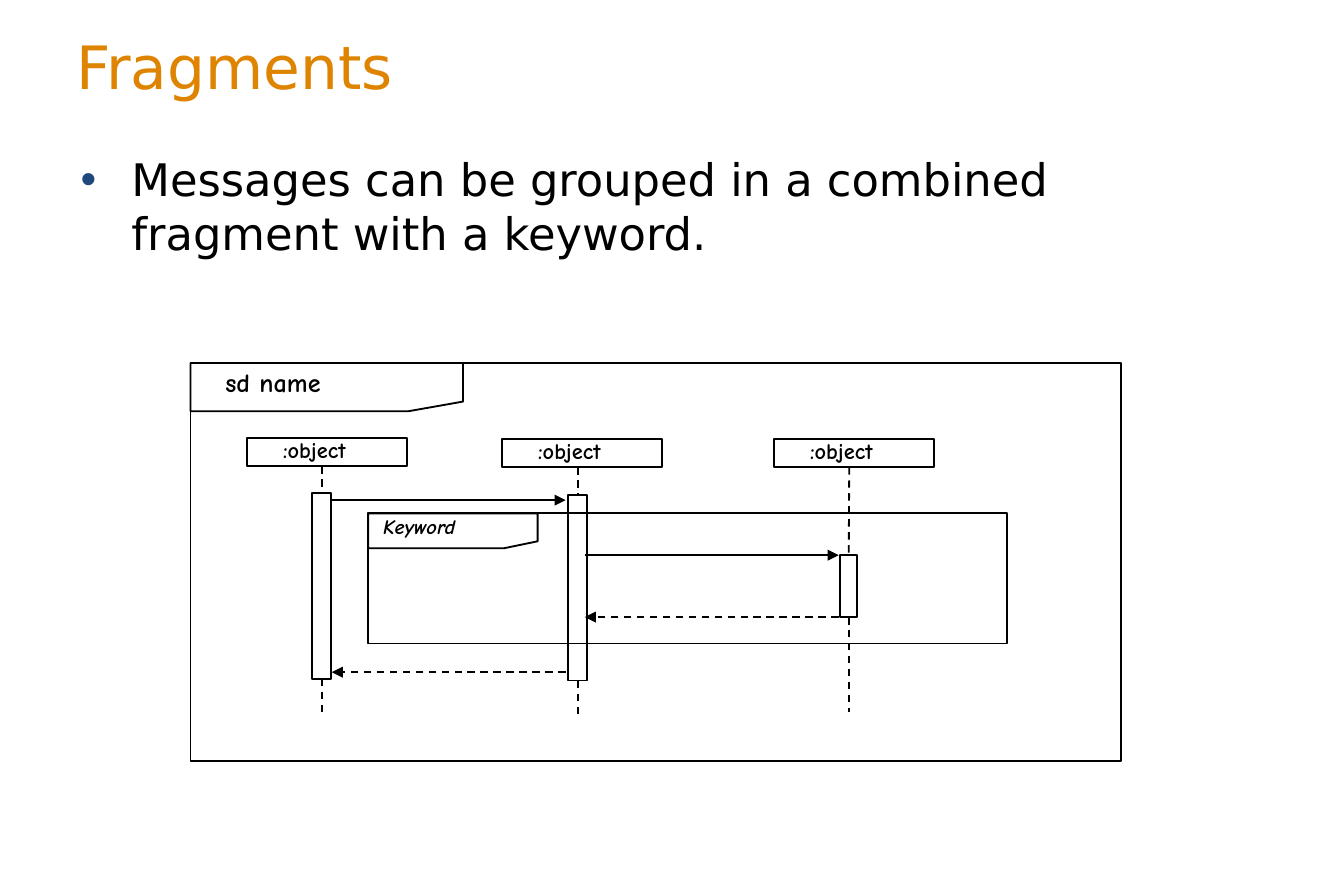
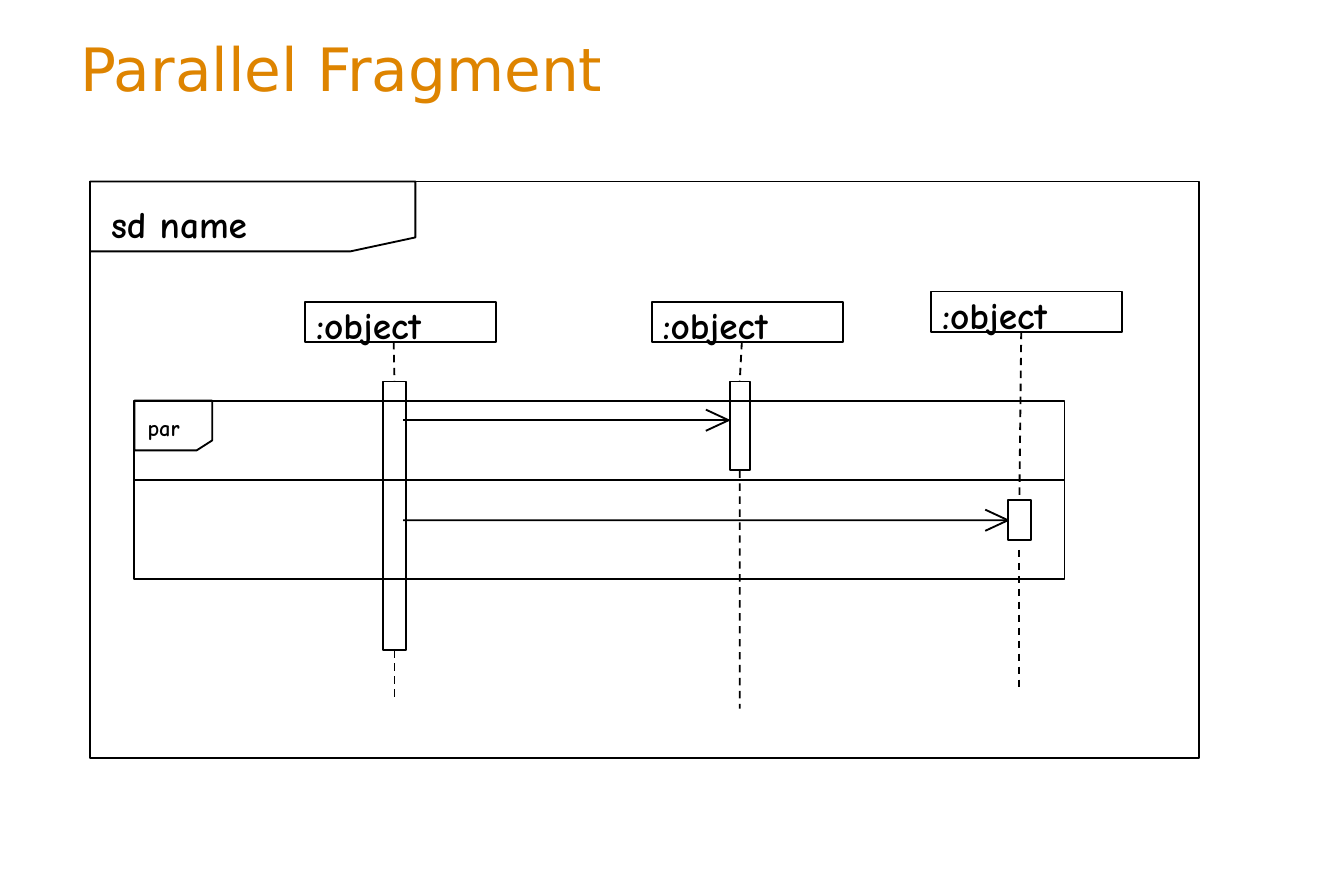
from dataclasses import dataclass

from lxml import etree
from pptx import Presentation
from pptx.dml.color import RGBColor
from pptx.enum.dml import MSO_LINE
from pptx.enum.shapes import MSO_CONNECTOR, MSO_SHAPE
from pptx.enum.text import MSO_ANCHOR, MSO_AUTO_SIZE, PP_ALIGN
from pptx.oxml.ns import qn
from pptx.util import Cm, Pt

RECT, CARD = MSO_SHAPE.RECTANGLE, MSO_SHAPE.FLOWCHART_CARD
STRAIGHT, DASH = MSO_CONNECTOR.STRAIGHT, MSO_LINE.DASH
TOP, MIDDLE = MSO_ANCHOR.TOP, MSO_ANCHOR.MIDDLE
LEFT, NO_FIT = PP_ALIGN.LEFT, MSO_AUTO_SIZE.NONE
SIDE_TOP, SIDE_LEFT, SIDE_BOTTOM = 0, 1, 2
TITLE_LAYOUT, LIST_LAYOUT = 5, 1


@dataclass(frozen=True)
class Theme:
    title: str = "DE8400"
    ink: str = "000000"
    bullet: str = "1F497D"
    sans: str = "DejaVu Sans"
    hand: str = "Comic Neue"
    title_size: int = 32
    body_size: int = 24
    line: float = 1


T = Theme()


def write(sp, text, size, font=T.hand, color=T.ink, bold=True, italic=False,
          anchor=TOP, spacing=0.9):
    tf = sp.text_frame
    tf.word_wrap = True
    tf.auto_size = NO_FIT
    tf.vertical_anchor = anchor
    p = tf.paragraphs[0]
    p.alignment = LEFT
    p.line_spacing = spacing
    r = p.add_run()
    r.text = text
    r.font.name = font
    r.font.size = Pt(size)
    r.font.bold = bold
    r.font.italic = italic
    r.font.color.rgb = RGBColor.from_string(color)
    return p


def outline(sp, dashed=False, arrow=False):
    sp.line.color.rgb = RGBColor.from_string(T.ink)
    sp.line.width = Pt(T.line)
    if dashed:
        sp.line.dash_style = DASH
    if hasattr(sp, "fill"):
        sp.fill.background()
        sp.shadow.inherit = False
    else:
        spPr = sp._element.spPr
        if arrow:
            etree.SubElement(spPr.find(qn("a:ln")), qn("a:tailEnd"), type="triangle")
        etree.SubElement(spPr, qn("a:effectLst"))
    return sp


# frames: box, tag size, label, label box, label size, italic
# lifelines: header corner, head x, bar, tail start (None: joined), tail end
# messages: x1, x2, y, dashed, index of the joined bar
diagrams = [
    dict(
        title="Fragments", title_box=(1.19, 0.56, 22.86, 1.37),
        body="Messages can be grouped in a combined fragment with a keyword.",
        frames=[
            ((3.6, 6.86, 17.58, 7.52), (5.15, 0.91),
             "sd name", (4.01, 6.86, 2.46, 0.81), 14, False),
            ((6.96, 9.7, 12.07, 2.46), (3.2, 0.66),
             "Keyword", (6.99, 9.63, 3.58, 0.69), 11, True),
        ],
        header=(3.02, 0.53), label=(0.43, -0.11, 2.4, 0.74), label_size=12,
        lifelines=[
            ((4.67, 8.28), 6.08, (5.9, 9.32, 0.36, 3.51), None, 13.46),
            ((9.49, 8.3), 10.92, (10.74, 9.35, 0.36, 3.51), None, 13.59),
            ((14.63, 8.3), 16.05, (15.88, 10.49, 0.32, 1.17), None, 13.46),
        ],
        open_heads=False,
        messages=[
            (6.27, 10.69, 9.45, False, None),
            (11.05, 15.85, 10.49, False, None),
            (15.85, 11.05, 11.66, True, None),
            (10.69, 6.27, 12.7, True, None),
        ],
    ),
    dict(
        title="Parallel Fragment", title_box=(1.27, 0.69, 22.86, 1.19), body=None,
        frames=[
            ((1.7, 3.43, 20.96, 10.9), (6.15, 1.32),
             "sd name", (1.85, 3.78, 3.3, 1.04), 20, False),
            ((2.54, 7.57, 17.58, 1.5), (1.47, 0.94),
             "par", (2.54, 7.75, 1.19, 0.74), 12, False),
            ((2.54, 9.07, 17.58, 1.88), None, None, None, None, False),
        ],
        header=(3.61, 0.76), label=(-0.04, -0.02, 3, 1.04), label_size=20,
        lifelines=[
            ((5.77, 5.7), 7.44, (7.24, 7.21, 0.43, 5.08), None, 13.23),
            ((12.32, 5.7), 14.02, (13.79, 7.21, 0.38, 1.68), None, 13.39),
            ((17.6, 5.51), 19.3, (19.05, 9.45, 0.43, 0.76), 10.39, 13.03),
        ],
        open_heads=True,
        messages=[
            (7.62, 13.77, 7.94, False, None),
            (7.62, 19.05, 9.83, False, 2),
        ],
    ),
]

prs = Presentation()
prs.slide_width, prs.slide_height = Cm(25.4), Cm(16.93)

for d in diagrams:
    s = prs.slides.add_slide(prs.slide_layouts[LIST_LAYOUT if d["body"] else TITLE_LAYOUT])
    sp = s.shapes.title
    sp.left, sp.top, sp.width, sp.height = map(Cm, d["title_box"])
    write(sp, d["title"], T.title_size, font=T.sans, color=T.title, bold=False,
          anchor=MIDDLE, spacing=1.0)

    if d["body"]:
        sp = s.placeholders[1]
        sp.left, sp.top, sp.width, sp.height = map(Cm, (1.27, 2.74, 22.86, 2.54))
        p = write(sp, d["body"], T.body_size, font=T.sans, bold=False, spacing=1.0)
        pPr = p._p.get_or_add_pPr()
        pPr.set("marL", str(Cm(0.96)))
        pPr.set("indent", str(-Cm(0.96)))
        buClr = etree.SubElement(pPr, qn("a:buClr"))
        etree.SubElement(buClr, qn("a:srgbClr"), val=T.bullet)
        etree.SubElement(pPr, qn("a:buChar"), char="•")

    for box, tag, text, text_box, size, italic in d["frames"]:
        shapes = s.shapes.add_group_shape().shapes if tag else s.shapes
        outline(shapes.add_shape(RECT, *map(Cm, box)))
        if tag:
            card = outline(shapes.add_shape(CARD, *map(Cm, box[:2] + tag)))
            card.rotation = 180
            write(shapes.add_textbox(*map(Cm, text_box)), text, size, italic=italic)

    bars = []
    dx, dy, label_w, label_h = d["label"]
    header_w, header_h = d["header"]
    for (x, y), head_x, bar_box, tail_top, tail_end in d["lifelines"]:
        outline(s.shapes.add_shape(RECT, *map(Cm, (x, y, header_w, header_h))))
        label = s.shapes.add_textbox(*map(Cm, (x + dx, y + dy, label_w, label_h)))
        write(label, ":object", d["label_size"])
        bar = outline(s.shapes.add_shape(RECT, *map(Cm, bar_box)))
        bars.append(bar)
        bar_x, bar_y, bar_w, bar_h = bar_box
        mid = bar_x + bar_w / 2
        head = s.shapes.add_connector(
            STRAIGHT, *map(Cm, (head_x, y + header_h, mid, bar_y)))
        head.end_connect(bar, SIDE_TOP)
        outline(head, dashed=True)
        tail = s.shapes.add_connector(
            STRAIGHT, *map(Cm, (mid, tail_top or bar_y + bar_h, mid, tail_end)))
        if tail_top is None:
            tail.begin_connect(bar, SIDE_BOTTOM)
        outline(tail, dashed=True)

    for x1, x2, y, dashed, target in d["messages"]:
        message = s.shapes.add_connector(STRAIGHT, *map(Cm, (x1, y, x2, y)))
        if target is not None:
            message.end_connect(bars[target], SIDE_LEFT)
        outline(message, dashed=dashed, arrow=not d["open_heads"])
        if d["open_heads"]:
            for rise in (-0.2, 0.2):
                outline(s.shapes.add_connector(
                    STRAIGHT, *map(Cm, (x2, y, x2 - 0.43, y + rise))))

prs.save("out.pptx")
